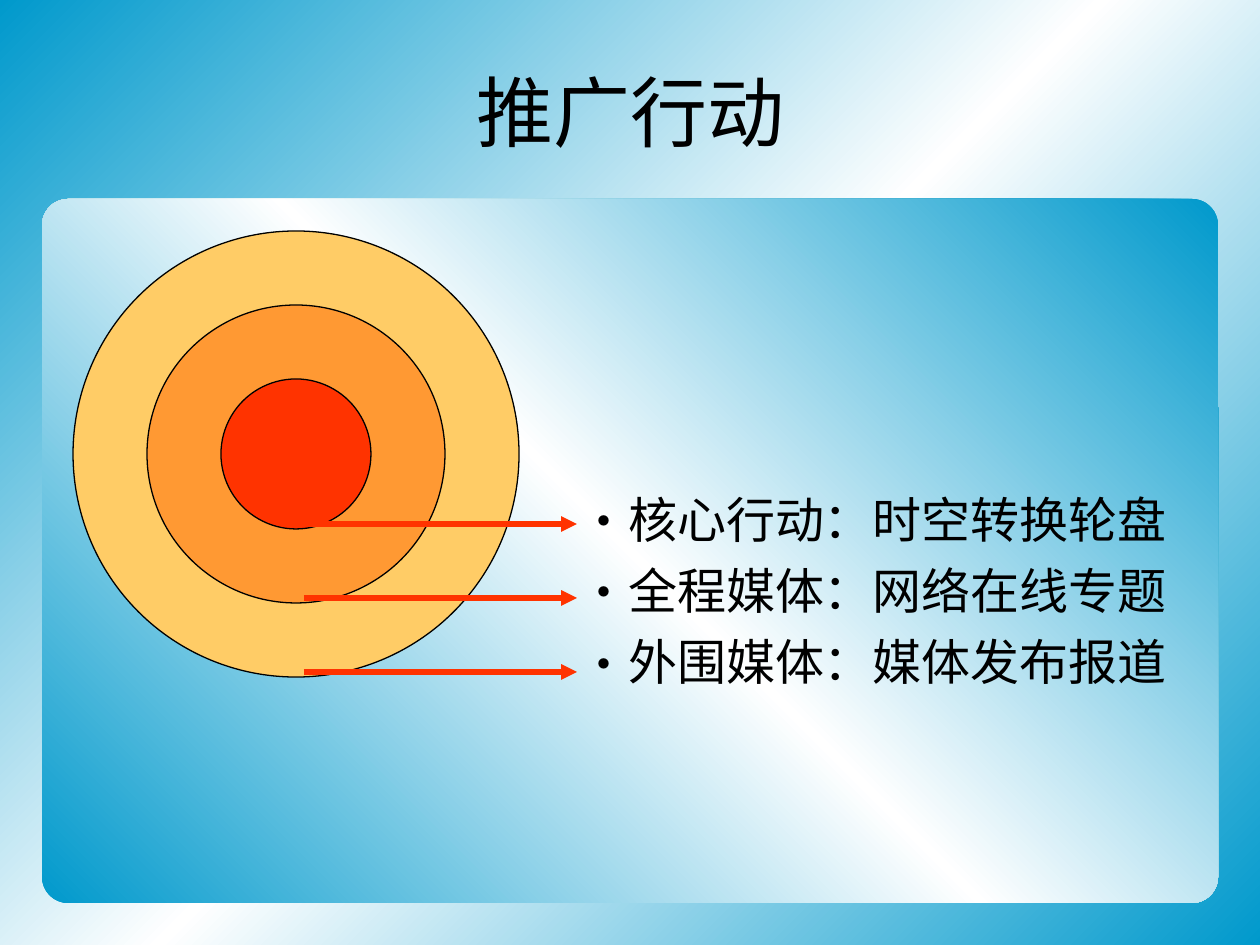
from copy import deepcopy

from lxml import etree
from pptx import Presentation
from pptx.dml.color import RGBColor
from pptx.enum.shapes import MSO_CONNECTOR, MSO_SHAPE
from pptx.enum.text import MSO_ANCHOR, PP_ALIGN
from pptx.oxml.ns import qn
from pptx.util import Emu, Pt

PX = 914400 / 126
FONT = "Noto Sans CJK SC"
ELLIPSE, PANEL = MSO_SHAPE.OVAL, MSO_SHAPE.ROUNDED_RECTANGLE
STRAIGHT = MSO_CONNECTOR.STRAIGHT
MIDDLE, TOP = MSO_ANCHOR.MIDDLE, MSO_ANCHOR.TOP
CENTER, LEFT = PP_ALIGN.CENTER, PP_ALIGN.LEFT
COLORS = {
    "blue": "0099CC",
    "white": "FFFFFF",
    "black": "000000",
    "outer": "FFCC66",
    "middle": "FF9933",
    "core": "FF3300",
}
ACTIONS = ["核心行动：时空转换轮盘", "全程媒体：网络在线专题", "外围媒体：媒体发布报道"]


def px(*lengths):
    """Turn px lengths into EMU."""
    return [Emu(round(n * PX)) for n in lengths]


def rgb(name):
    """Look up a named colour."""
    return RGBColor.from_string(COLORS[name])


def blue_sheen(fill, angle):
    """Fill with a blue, white, blue gradient."""
    fill.gradient()
    fill.gradient_angle = angle
    first = fill.gradient_stops[0]._gs
    first.addnext(deepcopy(first))
    for stop, name, pos in zip(fill.gradient_stops, ["blue", "white", "blue"], [0, 0.5, 1]):
        stop.color.rgb = rgb(name)
        stop.position = pos


def add_panel(slide, x, y, w, h):
    """Place the rounded panel."""
    sp = slide.shapes.add_shape(PANEL, *px(x, y, w, h))
    sp.adjustments[0] = 0.037
    sp.shadow.inherit = False
    blue_sheen(sp.fill, 225)
    sp.line.fill.background()


def add_text(slide, box, lines, size, align, anchor, bullet_indent=0):
    """Place a text box with one paragraph per line."""
    tf = slide.shapes.add_textbox(*px(*box)).text_frame
    tf.word_wrap = True
    tf.vertical_anchor = anchor
    for i, line in enumerate(lines):
        p = tf.paragraphs[0] if i == 0 else tf.add_paragraph()
        p.alignment = align
        if i:
            p.space_before = Pt(7)
        if bullet_indent:
            indent = px(bullet_indent)[0]
            pPr = p._p.get_or_add_pPr()
            pPr.set("marL", str(indent))
            pPr.set("indent", str(-indent))
            etree.SubElement(pPr, qn("a:buFont")).set("typeface", FONT)
            etree.SubElement(pPr, qn("a:buChar")).set("char", "•")
        r = p.add_run()
        r.text = line
        r.font.size = Pt(size)
        r.font.name = FONT
        r.font.color.rgb = rgb("black")
        etree.SubElement(r._r.get_or_add_rPr(), qn("a:ea")).set("typeface", FONT)


def add_arrow(slide, x, y, length):
    """Place a rightward arrow."""
    line = slide.shapes.add_connector(STRAIGHT, *px(x, y, x + length, y))
    line.line.color.rgb = rgb("core")
    line.line.width = Pt(3)
    etree.SubElement(line.line._get_or_add_ln(), qn("a:tailEnd")).set("type", "triangle")
    etree.SubElement(line._element.spPr, qn("a:effectLst"))


def add_target(slide, x, y, size):
    """Place three concentric rings and an arrow from the foot of each."""
    step = size // 6
    for i, name in enumerate(["outer", "middle", "core"]):
        inset = i * step
        side = size - 2 * inset
        sp = slide.shapes.add_shape(ELLIPSE, *px(x + inset, y + inset, side, side))
        sp.shadow.inherit = False
        sp.fill.solid()
        sp.fill.fore_color.rgb = rgb(name)
        sp.line.color.rgb = rgb("black")
        sp.line.width = Pt(0.75)
    for i in range(3):
        add_arrow(slide, x + 231, y + size - 5 - i * step, 273)


def main():
    """Build the slide."""
    prs = Presentation()
    prs.slide_width, prs.slide_height = px(1260, 945)
    slide = prs.slides.add_slide(prs.slide_layouts[6])
    blue_sheen(slide.background.fill, 135)
    add_panel(slide, 42, 199, 1176, 704)
    add_text(slide, (95, 32, 1071, 157), ["推广行动"], 44, CENTER, MIDDLE)
    add_text(slide, (567, 483, 630, 588), ACTIONS, 28, LEFT, TOP, 47)
    add_target(slide, 73, 231, 446)
    prs.save("out.pptx")


if __name__ == "__main__":
    main()
